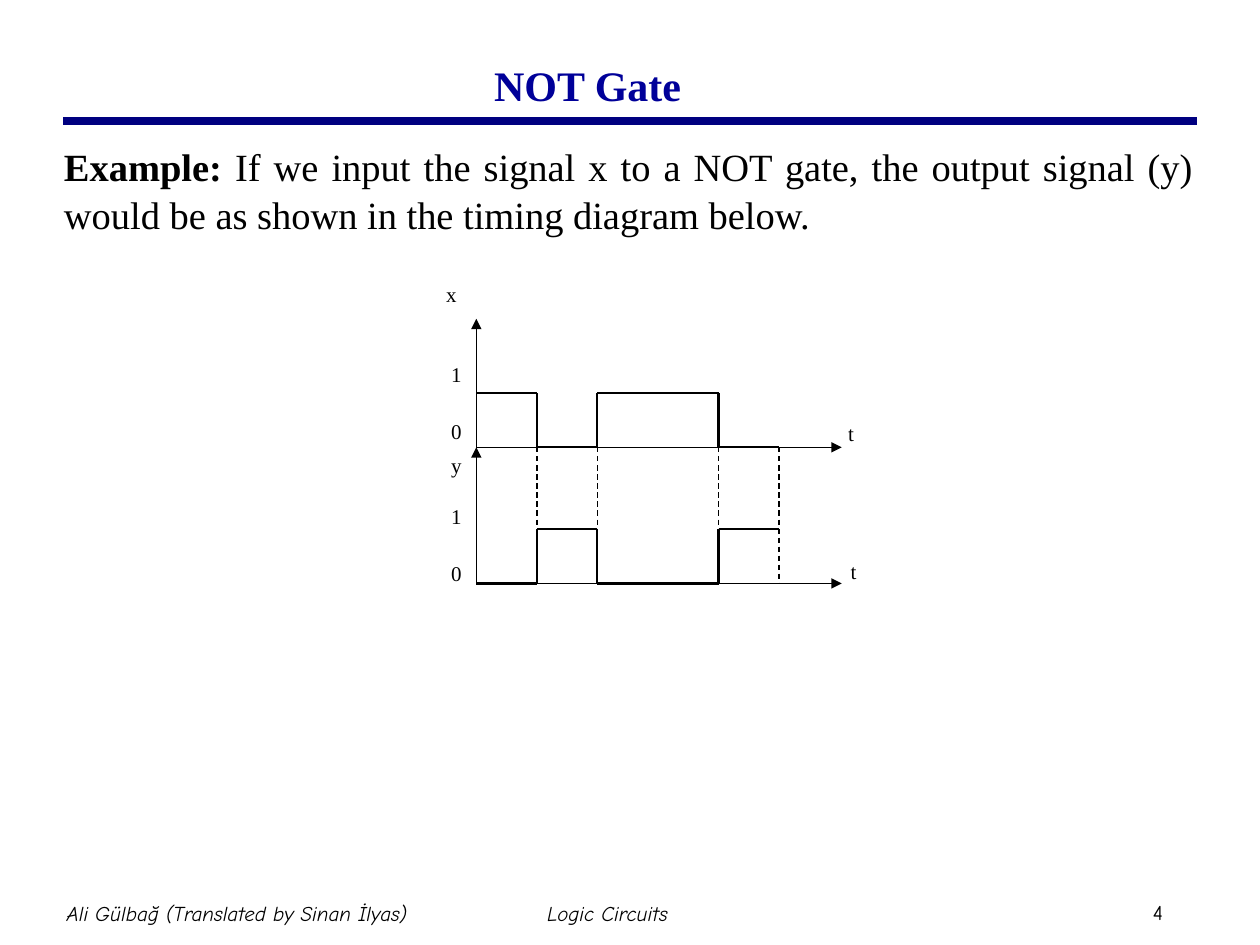
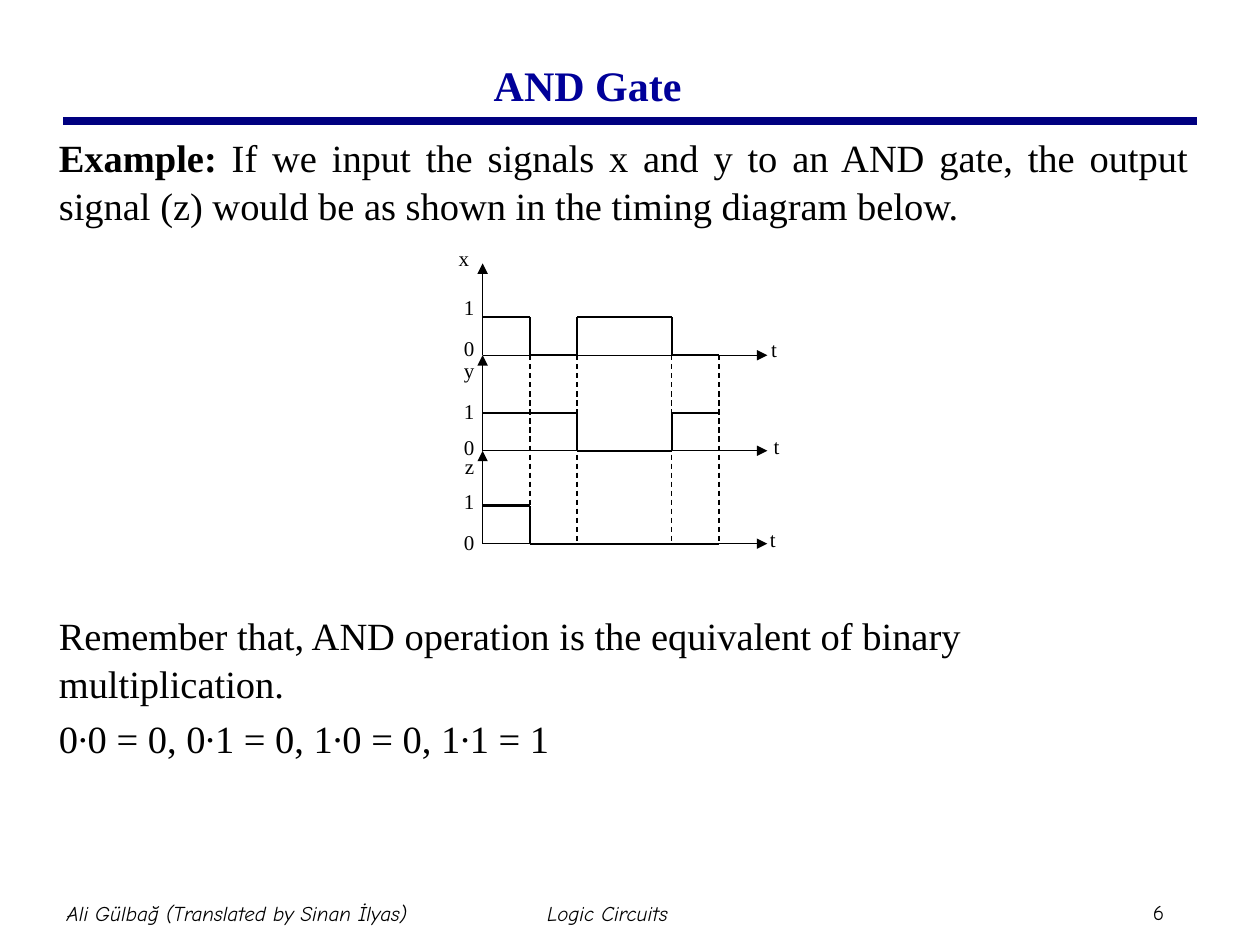
"""Build two timing diagram slides for logic gates."""
from dataclasses import dataclass
from itertools import groupby, pairwise

from lxml.etree import SubElement
from pptx import Presentation
from pptx.dml.color import RGBColor
from pptx.enum.dml import MSO_LINE
from pptx.enum.shapes import MSO_CONNECTOR
from pptx.enum.text import MSO_ANCHOR, MSO_AUTO_SIZE, PP_ALIGN
from pptx.oxml.ns import qn
from pptx.util import Pt


@dataclass(frozen=True)
class Theme:
    ink: RGBColor = RGBColor(0, 0, 0)
    head: RGBColor = RGBColor(0, 0, 0x99)
    band: RGBColor = RGBColor(0, 0, 0x80)
    serif: str = "Times New Roman"
    hand: str = "Comic Neue"
    title: float = 24
    body: float = 22
    small: float = 12
    thin: float = 0.75
    thick: float = 1.25
    rule: float = 4.5


def assign(target, values):
    for name, value in values.items():
        setattr(target, name, value)


class Deck:
    def __init__(self, theme):
        self.theme = theme
        self.show = Presentation()
        assign(self.show, {"slide_width": Pt(720), "slide_height": Pt(540)})
        self.slide = None

    def words(self, para, text, size, color=None, face=None, **style):
        run = para.add_run()
        run.text = text
        look = {"name": face or self.theme.serif, "size": Pt(size),
                "bold": False, "italic": False}
        assign(run.font, look | style)
        run.font.color.rgb = color or self.theme.ink

    def frame(self, left, top, width, height, pad=(0, 0), anchor=MSO_ANCHOR.TOP):
        box = self.slide.shapes.add_textbox(Pt(left), Pt(top), Pt(width), Pt(height))
        side, edge = map(Pt, pad)
        assign(box.text_frame, {
            "word_wrap": True, "vertical_anchor": anchor,
            "margin_left": side, "margin_right": side,
            "margin_top": edge, "margin_bottom": edge})
        return box.text_frame

    def line(self, start, end, width, color=None, dash=False, arrow=False):
        link = self.slide.shapes.add_connector(
            MSO_CONNECTOR.STRAIGHT, *map(Pt, (*start, *end)))
        link.line.width = Pt(width)
        link.line.color.rgb = color or self.theme.ink
        if dash:
            link.line.dash_style = MSO_LINE.DASH
        props = link.element.spPr
        if arrow:
            SubElement(props.find(qn("a:ln")), qn("a:tailEnd"), type="triangle")
        SubElement(props, qn("a:effectLst"))

    def footer(self, text, left, top, width, height, align, italic=True):
        para = self.frame(left, top, width, height, (3.6, 3.6),
                          MSO_ANCHOR.MIDDLE).paragraphs[0]
        para.alignment = align
        self.words(para, text, self.theme.small, face=self.theme.hand, italic=italic)

    def page(self, title, number):
        theme = self.theme
        self.slide = self.show.slides.add_slide(self.show.slide_layouts[5])
        self.line((36, 69.1), (684, 69.1), theme.rule, theme.band)
        self.footer(number, 655.2, 510.5, 33.8, 21.6, PP_ALIGN.LEFT, False)
        for text, left in (("Ali Gülbağ (Translated by Sinan İlyas)", 6.5),
                           ("Logic Circuits", 218.2)):
            self.footer(text, left, 504, 257.8, 36, PP_ALIGN.CENTER)
        head = self.slide.shapes.title
        assign(head, {"left": Pt(29.8), "top": Pt(17.3),
                      "width": Pt(612), "height": Pt(62)})
        assign(head.text_frame, {"vertical_anchor": MSO_ANCHOR.MIDDLE,
                                 "auto_size": MSO_AUTO_SIZE.NONE, "word_wrap": True})
        para = head.text_frame.paragraphs[0]
        para.alignment = PP_ALIGN.CENTER
        self.words(para, title, theme.title, theme.head, bold=True)

    def prose(self, left, top, height, paras, align=PP_ALIGN.LEFT):
        frame = self.frame(left, top, 659.5, height, (7.2, 3.6))
        for index, runs in enumerate(paras):
            para = frame.add_paragraph() if index else frame.paragraphs[0]
            assign(para, {"alignment": align, "line_spacing": 1.04,
                          "space_before": Pt(4.4 if index else 0)})
            for text, bold in runs:
                self.words(para, text, self.theme.body, bold=bold)

    def label(self, text, left, top):
        para = self.frame(left, top, 15, 24).paragraphs[0]
        self.words(para, text, self.theme.small)

    def wave(self, left, step, base, rise, levels):
        thick = self.theme.thick
        spot = left
        for level, group in groupby(levels):
            end = spot + step * len(list(group))
            high = base - rise * int(level)
            self.line((spot, high), (end, high), thick)
            spot = end
        for index, (old, new) in enumerate(pairwise(levels), 1):
            if old != new:
                edge = left + step * index
                self.line((edge, base - rise), (edge, base), thick)

    def chart(self, left, step, rise, top, end, digit, rows):
        thin = self.theme.thin
        first, last = rows[0]["base"], rows[-1]["base"]
        for index in (1, 2, 4, 5):
            mark = left + step * index
            self.line((mark, first), (mark, last), thin, dash=True)
        for row in rows:
            base = row["base"]
            self.line((left, base), (left, top), thin, arrow=True)
            self.line((left, base), (end, base), thin, arrow=True)
            self.wave(left, step, base, rise, row["levels"])
            self.label(*row["name"])
            self.label("1", digit, row["one"])
            self.label("0", digit, row["zero"])
            self.label("t", *row["time"])
            top = base


def main():
    deck = Deck(Theme())

    deck.page("NOT Gate", "4")
    deck.prose(29.5, 77, 72, [[
        ("Example:", True),
        (" If we input the signal x to a NOT gate, the output signal (y) "
         "would be as shown in the timing diagram below.", False)]],
        PP_ALIGN.JUSTIFY)
    deck.chart(272.2, 34.6, 31, 182.2, 481, 257.8, [
        {"base": 255.6, "levels": "10110", "name": ("x", 254.9, 160.6),
         "one": 206.6, "zero": 239, "time": (484.6, 240.5)},
        {"base": 333.4, "levels": "01001", "name": ("y", 257.8, 258.5),
         "one": 288, "zero": 320.4, "time": (486, 319)}])

    deck.page("AND Gate", "6")
    deck.prose(26.6, 72, 72, [[
        ("Example:", True),
        (" If we input the signals x and y to an AND gate, the output "
         "signal (z) would be as shown in the timing diagram below.", False)]],
        PP_ALIGN.JUSTIFY)
    deck.chart(275.8, 27, 21.8, 150.5, 438.5, 265, [
        {"base": 203, "levels": "10110", "name": ("x", 262.1, 140.4),
         "one": 168.5, "zero": 191.5, "time": (440.6, 192.2)},
        {"base": 257.6, "levels": "11001", "name": ("y", 265, 204.5),
         "one": 227.5, "zero": 248.4, "time": (442.1, 247.7)},
        {"base": 310.7, "levels": "10000", "name": ("z", 265.7, 259.2),
         "one": 279.4, "zero": 302.4, "time": (439.9, 301)}])
    deck.prose(26.6, 345, 100, [
        [("Remember that, AND operation is the equivalent of binary "
          "multiplication.", False)],
        [("0∙0 = 0, 0∙1 = 0, 1∙0 = 0, 1∙1 = 1", False)]])

    deck.show.save("out.pptx")


if __name__ == "__main__":
    main()
